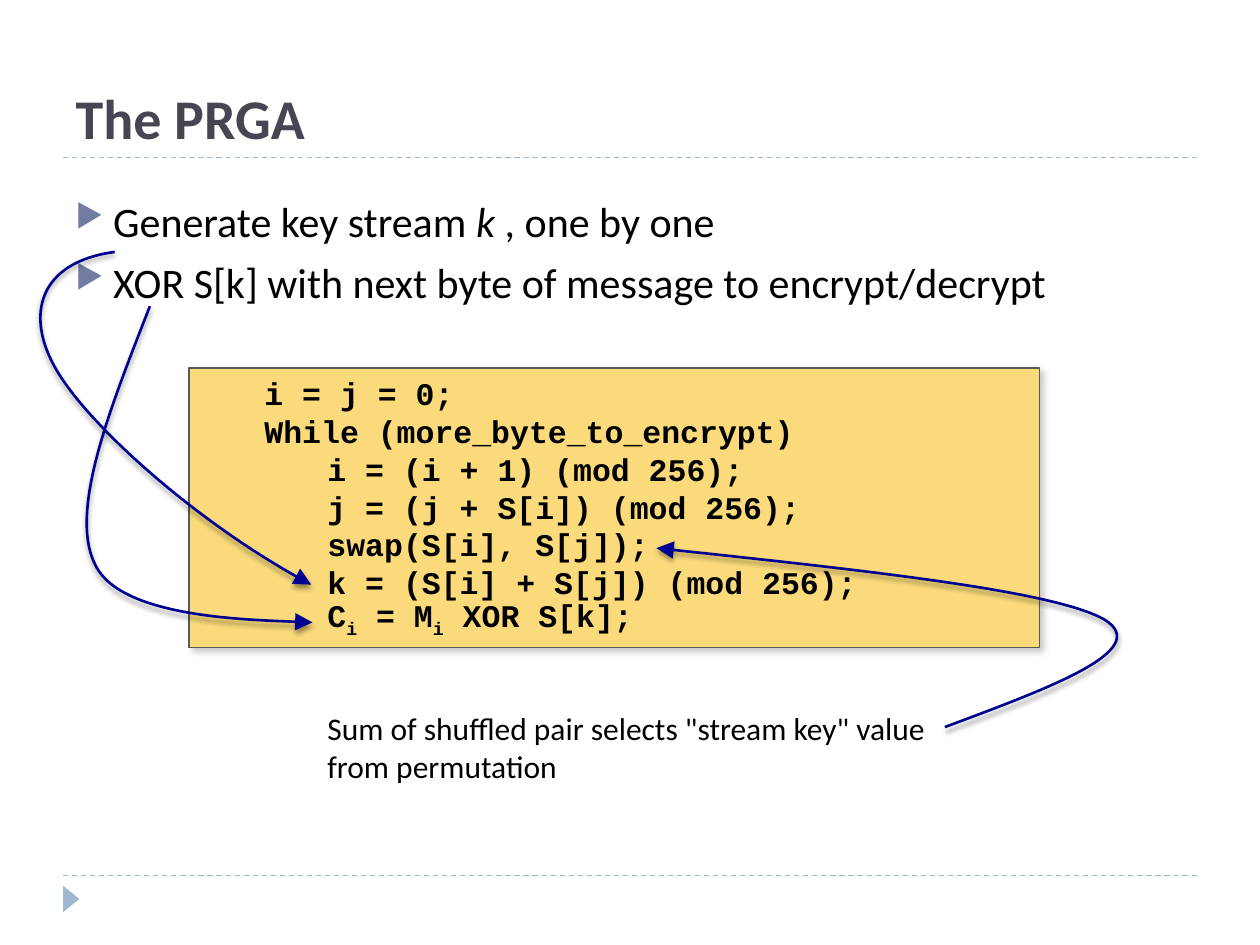
import pptx
import pptx.util
import pptx.dml.color
import pptx.enum.dml
import pptx.enum.shapes
import pptx.enum.text
import pptx.oxml.ns
from dataclasses import dataclass
from lxml import etree

Inches = pptx.util.Inches
Pt = pptx.util.Pt
qn = pptx.oxml.ns.qn


@dataclass(frozen=True)
class Theme:
    font: str = "Calibri"
    code_font: str = "Courier New"
    title: str = "464653"
    text: str = "000000"
    bullet: str = "727CA3"
    rule: str = "9FB8CD"
    code_fill: str = "FADA7A"
    code_line: str = "595959"
    arrow: str = "000090"
    title_size: int = 32
    body_size: int = 24
    small_size: int = 18
    code_spacing: float = 21.6


THEME = Theme()


def rgb(value):
    return pptx.dml.color.RGBColor.from_string(value)


def add_element(parent, tag, **attributes):
    return etree.SubElement(parent, qn(tag), attributes)


def add_run(paragraph, text, size, color=THEME.text, font=THEME.font,
            bold=False, italic=False, subscript=False):
    run = paragraph.add_run()
    run.text = text
    run.font.name = font
    run.font.size = Pt(size)
    run.font.bold = bold
    run.font.italic = italic
    run.font.color.rgb = rgb(color)
    if subscript:
        run.font._element.set("baseline", "-25000")


def paragraphs_for(text_frame, count):
    """Return the first paragraph and as many new ones as are needed."""
    return [text_frame.paragraphs[0]] + [text_frame.add_paragraph() for _ in range(count - 1)]


def add_text_box(slide, left, top, width, height):
    box = slide.shapes.add_textbox(Inches(left), Inches(top), Inches(width), Inches(height))
    box.text_frame.word_wrap = True
    return box.text_frame


def set_shadow(shape, color, opacity, blur, distance, angle):
    shape.shadow.inherit = False
    effects = shape._element.spPr.find(qn("a:effectLst"))
    shadow = add_element(effects, "a:outerShdw", blurRad=str(Pt(blur)), dist=str(Pt(distance)),
                         dir=str(angle * 60000), algn="ctr", rotWithShape="0")
    tint = add_element(shadow, "a:srgbClr", val=color)
    add_element(tint, "a:alpha", val=str(opacity * 1000))


def add_title(slide, text):
    title = slide.shapes.title
    title.left, title.top, title.width, title.height = map(Inches, (0.5, 0.17, 9, 1.08))
    title.text_frame.vertical_anchor = pptx.enum.text.MSO_ANCHOR.BOTTOM
    paragraph = title.text_frame.paragraphs[0]
    paragraph.alignment = pptx.enum.text.PP_ALIGN.LEFT
    add_run(paragraph, text, THEME.title_size, THEME.title, bold=True)


def add_rule(slide, top):
    rule = slide.shapes.add_connector(pptx.enum.shapes.MSO_CONNECTOR.STRAIGHT,
                                      Inches(0.5), Inches(top), Inches(9.5), Inches(top))
    rule.line.color.rgb = rgb(THEME.rule)
    rule.line.width = Pt(0.75)
    rule.line.dash_style = pptx.enum.dml.MSO_LINE.DASH
    add_element(rule._element.spPr, "a:effectLst")


def add_page_marker(slide):
    marker = slide.shapes.add_shape(pptx.enum.shapes.MSO_SHAPE.ISOSCELES_TRIANGLE,
                                    Inches(0.46), Inches(7.07), Inches(0.21), Inches(0.13))
    marker.rotation = 90
    marker.shadow.inherit = False
    marker.fill.solid()
    marker.fill.fore_color.rgb = rgb(THEME.rule)
    marker.line.fill.background()


def add_bullets(slide, items):
    text_frame = add_text_box(slide, 0.5, 1.5, 8, 1.25)
    for paragraph, runs in zip(paragraphs_for(text_frame, len(items)), items):
        paragraph.space_before = Pt(6)
        properties = paragraph._p.get_or_add_pPr()
        properties.set("marL", str(Inches(0.3)))
        properties.set("indent", str(Inches(-0.3)))
        add_element(add_element(properties, "a:buClr"), "a:srgbClr", val=THEME.bullet)
        add_element(properties, "a:buSzPct", val="76000")
        add_element(properties, "a:buChar", char="▶")
        for text, italic in runs:
            add_run(paragraph, text, THEME.body_size, italic=italic)


def add_code_box(slide, lines):
    box = slide.shapes.add_shape(pptx.enum.shapes.MSO_SHAPE.RECTANGLE,
                                 Inches(1.5), Inches(2.92), Inches(6.75), Inches(2.22))
    box.fill.solid()
    box.fill.fore_color.rgb = rgb(THEME.code_fill)
    box.line.color.rgb = rgb(THEME.code_line)
    box.line.width = Pt(0.75)
    set_shadow(box, "808080", 43, 4, 3, 45)
    text_frame = box.text_frame
    text_frame.word_wrap = True
    text_frame.vertical_anchor = pptx.enum.text.MSO_ANCHOR.TOP
    for paragraph, (level, parts) in zip(paragraphs_for(text_frame, len(lines)), lines):
        paragraph.level = level
        paragraph.alignment = pptx.enum.text.PP_ALIGN.LEFT
        paragraph.line_spacing = Pt(THEME.code_spacing)
        paragraph._p.get_or_add_pPr().set("marL", str(Inches(0.5 * level)))
        # Every second part is a subscript
        for index, text in enumerate(parts):
            add_run(paragraph, text, THEME.small_size, font=THEME.code_font,
                    bold=True, subscript=index % 2 == 1)


def add_caption(slide, text):
    text_frame = add_text_box(slide, 2.5, 5.58, 5, 0.71)
    add_run(text_frame.paragraphs[0], text, THEME.small_size)


def add_curved_arrow(slide, *points):
    """Draw a Bézier arrow: a start, then three control points a segment."""
    start, *controls = [(Inches(x), Inches(y)) for x, y in points]
    builder = slide.shapes.build_freeform(*start)
    builder.add_line_segments(controls, close=False)
    curve = builder.convert_to_shape()
    outline = curve._element.spPr.find(".//" + qn("a:path"))
    corners = outline.findall(qn("a:lnTo"))
    for first in range(0, len(corners), 3):
        segment = add_element(outline, "a:cubicBezTo")
        for corner in corners[first:first + 3]:
            segment.append(corner[0])
            outline.remove(corner)
    curve.fill.background()
    curve.line.color.rgb = rgb(THEME.arrow)
    curve.line.width = Pt(1.5)
    add_element(curve.line._get_or_add_ln(), "a:tailEnd", type="triangle", w="lg", len="lg")
    set_shadow(curve, "000000", 40, 3, 2, 90)


def main():
    presentation = pptx.Presentation()
    presentation.slide_width = Inches(10)
    presentation.slide_height = Inches(7.5)
    slide = presentation.slides.add_slide(presentation.slide_layouts.get_by_name("Title Only"))

    # Frame and title
    for top in (6.95, 1.25):
        add_rule(slide, top)
    add_page_marker(slide)
    add_title(slide, "The PRGA")

    # Explanation and algorithm
    add_bullets(slide, [
        [("Generate key stream ", False), ("k", True), (" , one by one", False)],
        [("XOR S[k] with next byte of message to encrypt/decrypt", False)],
    ])
    add_code_box(slide, [
        (1, ["i = j = 0;"]),
        (1, ["While (more_byte_to_encrypt)"]),
        (2, ["i = (i + 1) (mod 256);"]),
        (2, ["j = (j + S[i]) (mod 256);"]),
        (2, ["swap(S[i], S[j]);"]),
        (2, ["k = (S[i] + S[j]) (mod 256);"]),
        (2, ["C", "i", " = M", "i", " XOR S[k];"]),
    ])
    add_caption(slide, 'Sum of shuffled pair selects "stream key" value from permutation')

    # Arrows from the explanations to their code lines
    add_curved_arrow(slide, (0.91, 2), (0.31, 2.08), (0.19, 2.5), (0.45, 2.94),
                     (0.71, 3.38), (1.6, 4.18), (2.47, 4.64))
    add_curved_arrow(slide, (1.19, 2.43), (0.87, 3.25), (0.54, 4.07), (0.76, 4.49),
                     (0.97, 4.91), (2.48, 4.94), (2.48, 4.94))
    add_curved_arrow(slide, (7.5, 5.77), (8.33, 5.46), (9.15, 5.16), (8.77, 4.92),
                     (8.38, 4.69), (6.8, 4.52), (5.21, 4.35))

    presentation.save("out.pptx")


if __name__ == "__main__":
    main()
